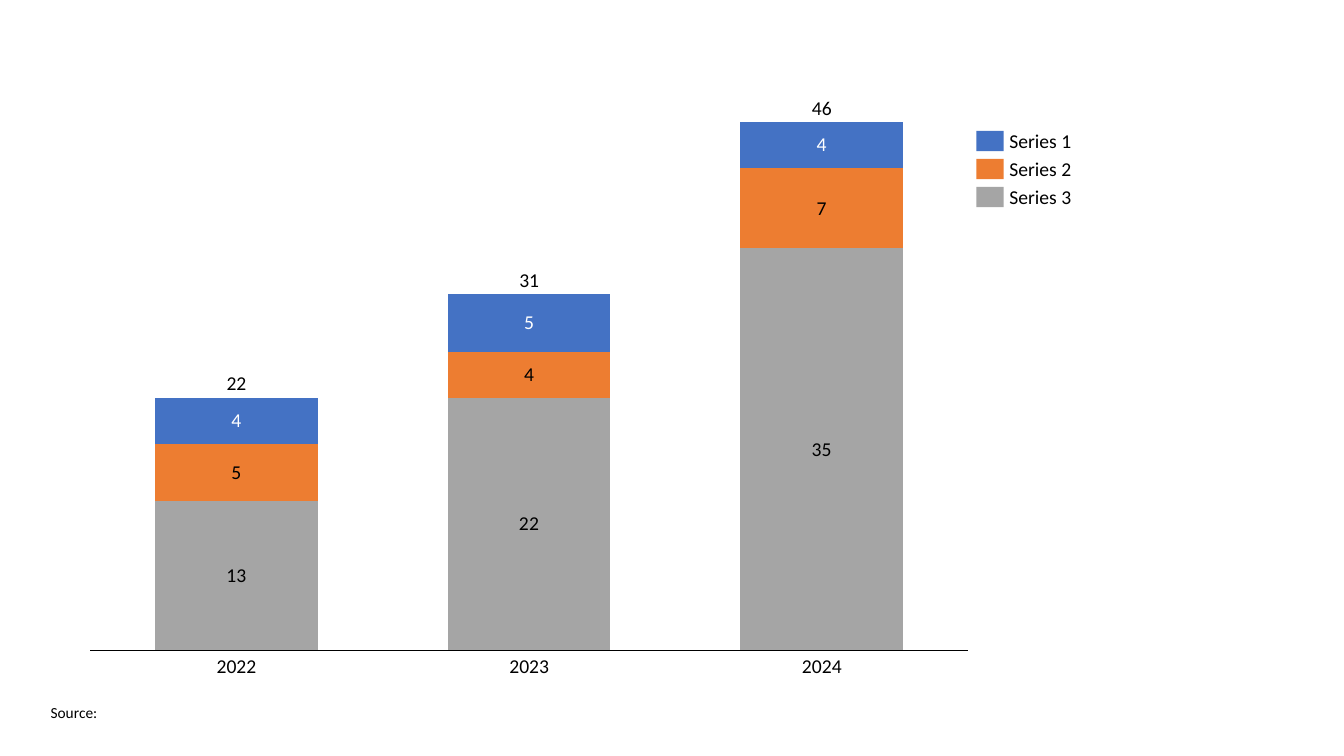
from pptx import Presentation
from pptx.chart.data import CategoryChartData
from pptx.dml.color import RGBColor
from pptx.enum import chart as charts, shapes, text
from pptx.oxml import parse_xml
from pptx.oxml.ns import nsdecls
from pptx.util import Pt

FONT = "Calibri"
BLACK, WHITE = "000000", "FFFFFF"
YEARS = ["2022", "2023", "2024"]
SERIES = [
    ("Series 3", [13, 22, 35], "A5A5A5", BLACK),
    ("Series 2", [5, 4, 7], "ED7D31", BLACK),
    ("Series 1", [4, 5, 4], "4472C4", WHITE),
]
TOTALS = [sum(values) for values in zip(*(row[1] for row in SERIES))]
PLOT = {"x": 0.01, "y": 0.057, "w": 0.98, "h": 0.887}


def color(value):
    """Turn a hex string into a colour."""
    return RGBColor.from_string(value)


def set_font(font, size, value=BLACK):
    """Set typeface, size and colour of a font."""
    font.name, font.size = FONT, Pt(size)
    font.color.rgb = color(value)


def add_label(slide, box, words, size=14, align=text.PP_ALIGN.LEFT,
              anchor=text.MSO_ANCHOR.MIDDLE, insets=(0, 0), spacing=0.9):
    """Write one unwrapped line of text in a box."""
    frame = slide.shapes.add_textbox(*map(Pt, box)).text_frame
    frame.word_wrap = False
    frame.vertical_anchor = anchor
    frame.margin_left = frame.margin_right = Pt(insets[0])
    frame.margin_top = frame.margin_bottom = Pt(insets[1])
    paragraph = frame.paragraphs[0]
    paragraph.text = words
    paragraph.alignment = align
    paragraph.line_spacing = spacing
    set_font(paragraph.font, size)


def set_plot_area(chart):
    """Fix the inner plot area inside the chart."""
    plot_area = chart.plots[0]._element.getparent()
    for layout in plot_area.findall("{*}layout"):
        plot_area.remove(layout)
    parts = "".join(f'<c:{name}Mode val="edge"/>' for name in "xy")
    parts += "".join(f'<c:{name} val="{part}"/>' for name, part in PLOT.items())
    plot_area.insert(0, parse_xml(
        f'<c:layout {nsdecls("c")}><c:manualLayout><c:layoutTarget val="inner"/>'
        f"{parts}</c:manualLayout></c:layout>"))


def add_columns(slide, left, top, width, height):
    """Draw the stacked column chart."""
    data = CategoryChartData(number_format="0")
    data.categories = YEARS
    for name, values, *_ in SERIES:
        data.add_series(name, values)
    chart = slide.shapes.add_chart(
        charts.XL_CHART_TYPE.COLUMN_STACKED,
        *map(Pt, (left, top, width, height)), data).chart
    chart.has_legend = chart.has_title = False
    set_font(chart.font, 14)
    set_plot_area(chart)

    years = chart.category_axis
    years.tick_label_position = charts.XL_TICK_LABEL_POSITION.NONE
    years.major_tick_mark = charts.XL_TICK_MARK.NONE
    years.format.line.color.rgb = color(BLACK)
    years.format.line.width = Pt(0.75)
    amounts = chart.value_axis
    amounts.minimum_scale, amounts.maximum_scale = 0, max(TOTALS)
    amounts.has_major_gridlines = amounts.visible = False

    plot = chart.plots[0]
    plot.gap_width, plot.overlap = 80, 100
    plot.vary_by_categories = False
    for series, (_, _, fill, ink) in zip(plot.series, SERIES):
        series.format.fill.solid()
        series.format.fill.fore_color.rgb = color(fill)
        labels = series.data_labels
        labels.show_value = True
        labels.position = charts.XL_LABEL_POSITION.CENTER
        set_font(labels.font, 14, ink)


def add_column_labels(slide, left, top, width, height):
    """Write the year below and the total above each column."""
    step = width * PLOT["w"] / len(YEARS)
    plot_height = height * PLOT["h"]
    base = top + height * PLOT["y"] + plot_height
    for index, (year, total) in enumerate(zip(YEARS, TOTALS)):
        center = left + width * PLOT["x"] + step * (index + 0.5)
        column_top = base - plot_height * total / max(TOTALS)
        add_label(slide, (center - 16, base + 4.5, 32, 15), year,
                  align=text.PP_ALIGN.CENTER, anchor=text.MSO_ANCHOR.TOP)
        add_label(slide, (center - 12, column_top - 17, 24, 15), str(total),
                  align=text.PP_ALIGN.CENTER, anchor=text.MSO_ANCHOR.BOTTOM,
                  insets=(2, 0))


def add_legend(slide, left, top, width, height):
    """List the series from the top of the stack down."""
    step = height / len(SERIES)
    for index, (name, _, fill, _) in enumerate(reversed(SERIES)):
        row = top + index * step
        swatch = slide.shapes.add_shape(
            shapes.MSO_SHAPE.RECTANGLE, *map(Pt, (left, row, 19.5, 14.5)))
        swatch.shadow.inherit = False
        swatch.fill.solid()
        swatch.fill.fore_color.rgb = color(fill)
        swatch.line.fill.background()
        add_label(slide, (left + 23.5, row + 0.5, width - 23.5, 15), name)


def add_source(slide, left, top, width, height):
    """Write the source line."""
    add_label(slide, (left, top, width, height), "Source:", size=11,
              anchor=text.MSO_ANCHOR.TOP, insets=(7.2, 3.6), spacing=1)


def main():
    """Build and save the slide."""
    presentation = Presentation()
    presentation.slide_width, presentation.slide_height = Pt(960), Pt(540)
    slide = presentation.slides.add_slide(presentation.slide_layouts[6])
    chart_box = (58, 63, 640, 425.5)
    add_columns(slide, *chart_box)
    add_column_labels(slide, *chart_box)
    add_legend(slide, 697.5, 93.5, 70, 60)
    add_source(slide, 29, 498.5, 48, 20.5)
    presentation.save("out.pptx")


if __name__ == "__main__":
    main()
